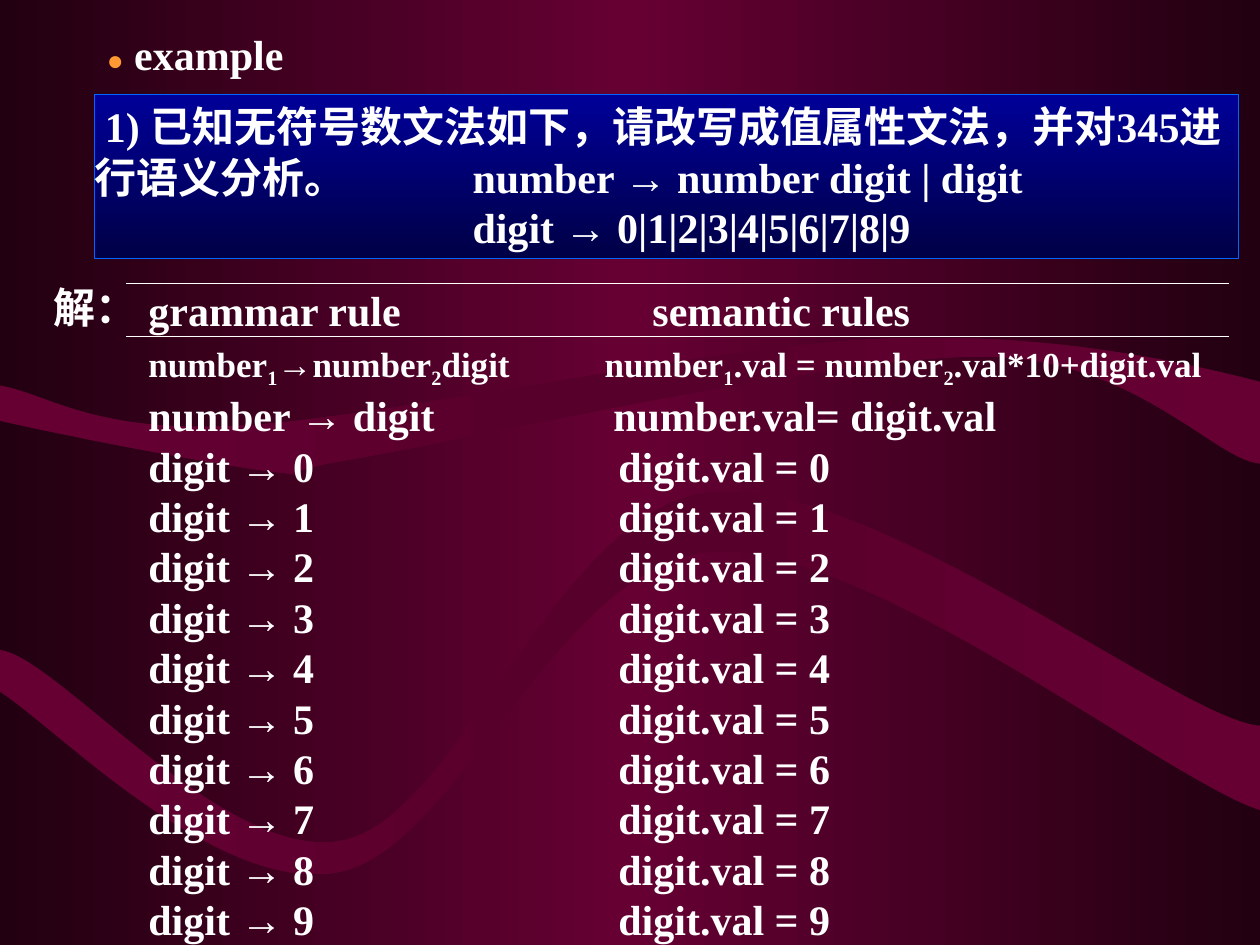
from dataclasses import dataclass
from itertools import groupby

from lxml import etree
from pptx import Presentation
from pptx.dml.color import RGBColor
from pptx.enum.shapes import MSO_CONNECTOR, MSO_SHAPE
from pptx.enum.text import MSO_ANCHOR, PP_ALIGN
from pptx.oxml.ns import qn
from pptx.util import Inches, Pt

STRAIGHT = MSO_CONNECTOR.STRAIGHT
RECTANGLE = MSO_SHAPE.RECTANGLE
TOP, MIDDLE = MSO_ANCHOR.TOP, MSO_ANCHOR.MIDDLE
LEFT, JUSTIFY = PP_ALIGN.LEFT, PP_ALIGN.JUSTIFY

COLORS = {
    "edge": "220011", "wine": "660033", "plum": "56002B",
    "blue": "000099", "navy": "000046", "border": "0066FF",
    "white": "FFFFFF", "orange": "FF9933",
}
ARROW = "→"
SUBSCRIPTS = {"₁": "1", "₂": "2"}
BODY_SIZE = 24


@dataclass
class Line:
    """A paragraph; subscript digits and arrows get their own spans."""
    text: str
    tab: float = 0
    size: int = BODY_SIZE
    align: PP_ALIGN = JUSTIFY
    spacing: float = 1.0
    bullet: str = ""


@dataclass
class Wave:
    """A closed ribbon; a segment of one point is straight, of three a curve."""
    start: tuple
    segments: list


def rgb(name: str) -> RGBColor:
    return RGBColor.from_string(COLORS[name])


def set_gradient(fill, holder, names: list, angle: int) -> None:
    """Spread the named colours evenly along a linear gradient."""
    fill.gradient()
    fill.gradient_angle = angle
    stops = holder.find(".//" + qn("a:gsLst"))
    for stop in list(stops):
        stops.remove(stop)
    for index, name in enumerate(names):
        position = 100000 * index // (len(names) - 1)
        stop = etree.SubElement(stops, qn("a:gs"), pos=str(position))
        etree.SubElement(stop, qn("a:srgbClr"), val=COLORS[name])


def draw_wave(page, wave: Wave) -> None:
    builder = page.shapes.build_freeform(*map(Inches, wave.start))
    points = [point for segment in wave.segments for point in segment]
    builder.add_line_segments([(Inches(x), Inches(y)) for x, y in points], close=True)
    shape = builder.convert_to_shape()

    # Join each three straight steps of a curve into one cubic step
    steps = iter(list(shape._element.iter(qn("a:lnTo"))))
    for segment in wave.segments:
        first, *others = [next(steps) for _ in segment]
        if others:
            first.tag = qn("a:cubicBezTo")
        for step in others:
            first.append(step[0])
            step.getparent().remove(step)

    shape.shadow.inherit = False
    shape.line.fill.background()
    set_gradient(shape.fill, shape._element, ["wine", "plum", "wine"], 0)


def add_span(para, text: str, size: int, color: str = "white",
             font: str = "Times New Roman"):
    span = para.add_run()
    span.text = text
    for name, value in {"name": font, "size": Pt(size), "bold": True}.items():
        setattr(span.font, name, value)
    span.font.color.rgb = rgb(color)
    return span


def span_kind(char: str) -> str:
    if char in SUBSCRIPTS:
        return "subscript"
    return {ARROW: "arrow", "\t": "tab"}.get(char, "plain")


def write_lines(shape, lines: list, anchor: MSO_ANCHOR = TOP, left_inset: float = 0.1) -> None:
    frame = shape.text_frame
    margins = {"margin_left": left_inset, "margin_right": 0.1,
               "margin_top": 0.05, "margin_bottom": 0.05}
    for name, value in margins.items():
        setattr(frame, name, Inches(value))
    frame.word_wrap = True
    frame.vertical_anchor = anchor
    for index, line in enumerate(lines):
        para = frame.add_paragraph() if index else frame.paragraphs[0]
        para.alignment = line.align
        para.line_spacing = line.spacing
        if line.tab:
            tabs = etree.SubElement(para._p.get_or_add_pPr(), qn("a:tabLst"))
            etree.SubElement(tabs, qn("a:tab"), pos=str(Inches(line.tab)), algn="l")
        if line.bullet:
            add_span(para, line.bullet, 16, "orange")
        for kind, chars in groupby(line.text, span_kind):
            text = "".join(SUBSCRIPTS.get(char, char) for char in chars)
            size = BODY_SIZE if kind == "tab" else line.size
            font = "Arial" if kind == "arrow" else "Times New Roman"
            span = add_span(para, text, size, font=font)
            if kind == "subscript":
                span.font._element.set("baseline", "-25000")


def add_text(page, left: float, top: float, width: float, height: float,
             lines: list, anchor: MSO_ANCHOR = TOP) -> None:
    box = page.shapes.add_textbox(*map(Inches, (left, top, width, height)))
    write_lines(box, lines, anchor)


def add_rule(page, top: float) -> None:
    rule = page.shapes.add_connector(STRAIGHT, *map(Inches, (1, top, 9.75, top)))
    rule.line.color.rgb = rgb("white")
    rule.line.width = Pt(0.75)
    etree.SubElement(rule._element.spPr, qn("a:effectLst"))


WAVES = [
    Wave((0, 3.06), [
        [(0, 3.34)],
        [(0.37, 3.43), (1.75, 3.7), (2.22, 3.75)],
        [(2.69, 3.8), (1.9, 3.79), (2.82, 3.64)],
        [(3.75, 3.48), (6.6, 2.82), (7.8, 2.83)],
        [(9, 2.83), (9.63, 3.65), (10, 3.68)],
        [(10, 3.03)],
        [(9.5, 2.9), (8.36, 2.63), (7.01, 2.69)],
        [(5.66, 2.74), (3.07, 3.32), (1.9, 3.38)],
        [(0.73, 3.44), (0.4, 3.13), (0, 3.06)],
    ]),
    Wave((0, 5.16), [
        [(0, 5.49)],
        [(0.45, 5.78), (1.74, 7.11), (2.69, 6.92)],
        [(3.63, 6.74), (4.43, 4.46), (5.65, 4.38)],
        [(6.87, 4.29), (9.27, 6.2), (10, 6.43)],
        [(10, 5.76)],
        [(9.38, 5.72), (6.91, 3.77), (5.62, 3.91)],
        [(4.41, 4.06), (3.67, 6.46), (2.73, 6.67)],
        [(1.79, 6.87), (0.45, 5.2), (0, 5.16)],
    ]),
]
QUESTION = [
    Line(" 1) 已知无符号数文法如下，请改写成值属性文法，并对345进行语义分析。"
         "\tnumber → number digit | digit", tab=3, align=LEFT),
    Line("\tdigit → 0|1|2|3|4|5|6|7|8|9", tab=3),
]
RULES = [
    Line("grammar rule\tsemantic rules", tab=4),
    Line("number₁→number₂digit\tnumber₁.val = number₂.val*10+digit.val", tab=3.62, size=20),
    Line("number → digit\tnumber.val= digit.val", tab=3.69),
    *[Line(f"digit → {digit}\tdigit.val = {digit}", tab=3.73) for digit in range(10)],
]


def main() -> None:
    deck = Presentation()
    deck.slide_width, deck.slide_height = Inches(10), Inches(7.5)
    page = deck.slides.add_slide(deck.slide_layouts[6])

    # Backdrop
    set_gradient(page.background.fill, page._element, ["edge", "wine", "edge"], 0)
    for wave in WAVES:
        draw_wave(page, wave)

    # Question panel
    panel = page.shapes.add_shape(RECTANGLE, *map(Inches, (0.75, 0.75, 9.08, 1.3)))
    panel.shadow.inherit = False
    set_gradient(panel.fill, panel._element, ["blue", "navy"], 270)
    panel.line.color.rgb = rgb("border")
    panel.line.width = Pt(0.75)
    write_lines(panel, QUESTION, left_inset=0)

    # Heading, attribute grammar and answer label
    add_text(page, 0.75, 0.16, 8.5, 0.42,
             [Line(" example", align=LEFT, spacing=1.3, bullet="●")], MIDDLE)
    add_text(page, 1.08, 2.21, 8.83, 5.34, RULES)
    add_text(page, 0.33, 2.08, 1, 0.59, [Line("解：", align=LEFT, spacing=1.3)], MIDDLE)

    # Rules around the column headings
    for top in (2.25, 2.67):
        add_rule(page, top)

    deck.save("out.pptx")


if __name__ == "__main__":
    main()
